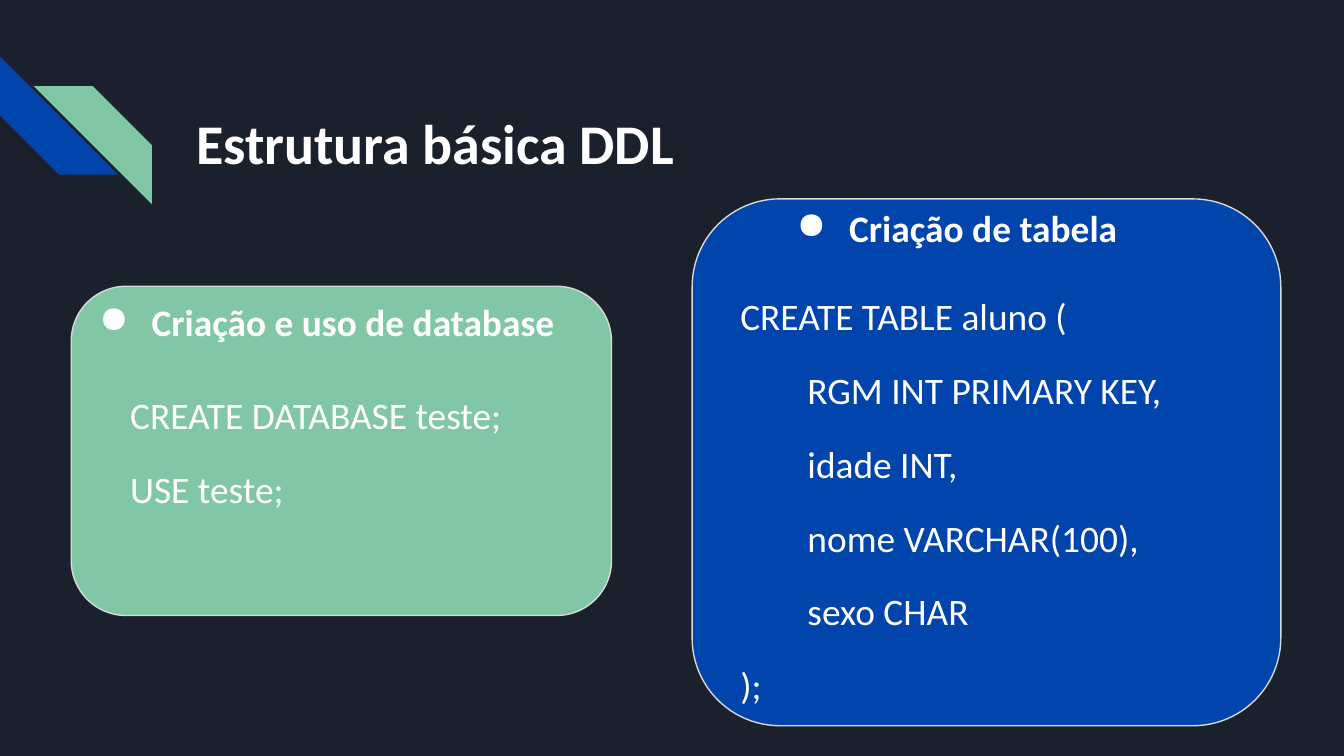
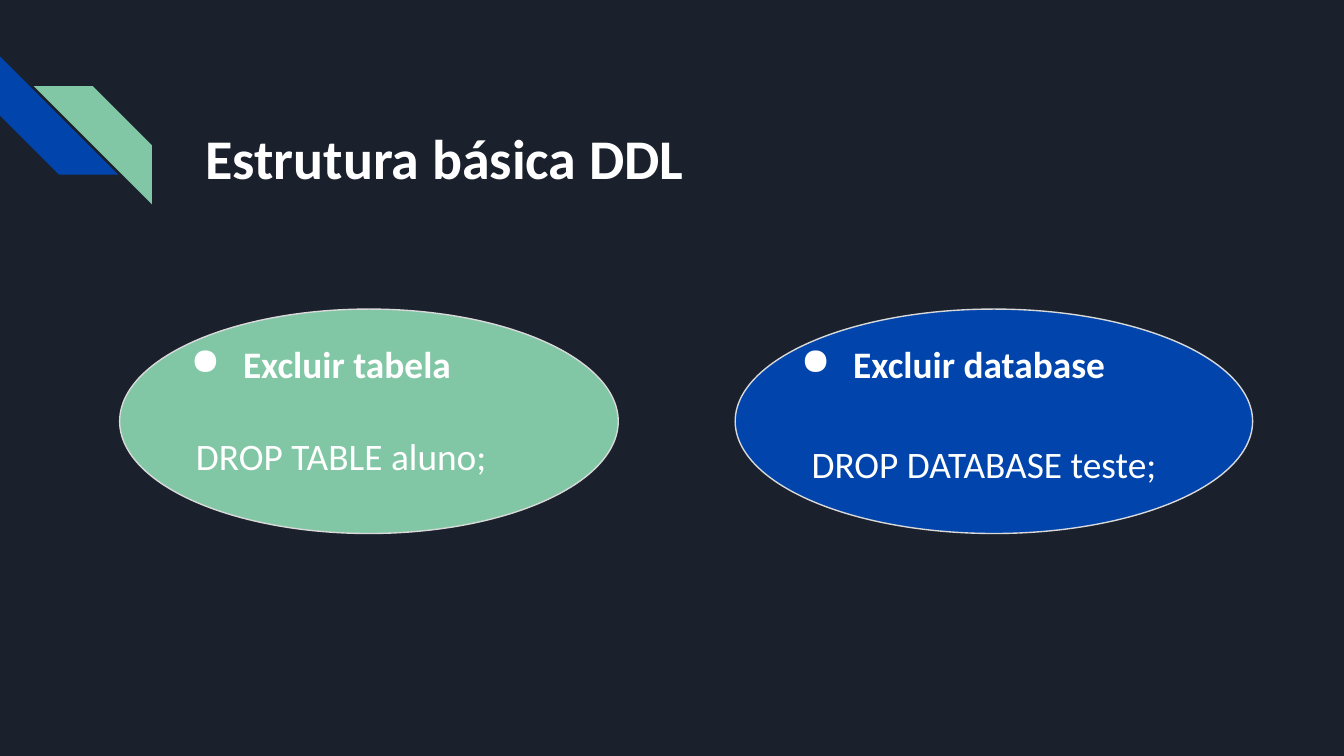
from pptx import Presentation
from pptx.dml.color import RGBColor as Rgb
from pptx.enum.shapes import MSO_SHAPE as Shape
from pptx.enum.text import MSO_ANCHOR as Anchor, MSO_AUTO_SIZE as Fit, PP_ALIGN as Align
from pptx.oxml.ns import qn
from pptx.util import Inches, Pt
from lxml.etree import SubElement

COLORS = {"night": "1B212C", "blue": "0145AC", "green": "82C7A5",
          "edge": "D9D9D9", "white": "FFFFFF"}
FONT = "Calibri"
COLUMNS = 100  # square grid cells, a hundred across the slide
TITLE = "Estrutura básica DDL"


def color(name):
    return Rgb.from_string(COLORS[name])


def write(paragraph, text, size=20, bold=False, spacing=None, before=0, after=0,
          margin=0, hanging=0, bullet=None):
    """Fill one paragraph with formatted text."""
    paragraph.alignment = Align.LEFT
    paragraph.line_spacing = spacing
    paragraph.space_before, paragraph.space_after = Pt(before), Pt(after)
    run = paragraph.add_run()
    run.text = text
    run.font.name, run.font.size, run.font.bold = FONT, Pt(size), bold
    run.font.color.rgb = color("white")
    props = paragraph._p.get_or_add_pPr()
    props.set("marL", str(Inches(margin)))
    props.set("indent", str(Inches(hanging)))
    if bullet:
        tint = SubElement(props, qn("a:buClr"))
        SubElement(tint, qn("a:srgbClr"), val=COLORS["white"])
        SubElement(props, qn("a:buChar"), char=bullet)


class Deck:
    def __init__(self):
        self.prs = Presentation()
        self.prs.slide_width, self.prs.slide_height = Inches(10), Inches(45 / 8)
        self.cell = self.prs.slide_width / COLUMNS
        backdrop = self.prs.slide_master.background.fill
        backdrop.solid()
        backdrop.fore_color.rgb = color("night")
        self.slide = None

    def grid(self, *cells):
        return [round(count * self.cell) for count in cells]

    def start(self, title, *place):
        """Open a slide with the corner stripes and its title."""
        self.slide = self.prs.slides.add_slide(self.prs.slide_layouts[5])
        self.panel(Shape.DIAGONAL_STRIPE, "blue", 0, 4.2, 8.8, 8.8, edge=None).rotation = 270
        mirrored = self.panel(Shape.DIAGONAL_STRIPE, "green", 2.5, 6.4, 8.8, 8.8, edge=None)
        mirrored._element.spPr.find(qn("a:xfrm")).set("flipH", "1")
        heading = self.slide.shapes.title
        heading.left, heading.top, heading.width, heading.height = self.grid(*place)
        write(self.frame(heading).paragraphs[0], title, size=30, bold=True)

    def panel(self, kind, fill, *place, edge="edge"):
        panel = self.slide.shapes.add_shape(kind, *self.grid(*place))
        panel.shadow.inherit = False
        panel.fill.solid()
        panel.fill.fore_color.rgb = color(fill)
        if edge:
            panel.line.color.rgb = color(edge)
            panel.line.width = Pt(0.75)
        else:
            panel.line.fill.background()
        return panel

    def frame(self, holder):
        frame = holder.text_frame
        frame.word_wrap, frame.auto_size = True, Fit.NONE
        frame.vertical_anchor = Anchor.TOP
        frame.margin_left = frame.margin_right = Inches(0.1)
        frame.margin_top = frame.margin_bottom = Inches(0.1)
        return frame

    def text_box(self, *place):
        return self.frame(self.slide.shapes.add_textbox(*self.grid(*place)))

    def topic(self, text, left, top, width):
        write(self.text_box(left, top, width, 5.4).paragraphs[0], text,
              bold=True, margin=0.5, hanging=-0.39, bullet="●")

    def code(self, lines, *place, after=0):
        """Write SQL lines; a leading tab stands for an indented one."""
        frame = self.text_box(*place)
        for number, line in enumerate(lines):
            paragraph = frame.add_paragraph() if number else frame.paragraphs[0]
            write(paragraph, line.strip(), spacing=1.15, before=12 if number else 0,
                  after=after if line == lines[-1] else 0,
                  hanging=0.5 if line.startswith("\t") else 0)


def main():
    deck = Deck()

    # Creating a database and a table
    deck.start(TITLE, 13.6, 7.1, 41.2, 7.2)
    deck.panel(Shape.ROUNDED_RECTANGLE, "blue", 51.5, 14.8, 43.8, 39.2)
    deck.panel(Shape.ROUNDED_RECTANGLE, "green", 5.3, 21.3, 40.2, 24.5)
    deck.code(["CREATE DATABASE teste;", "USE teste;"], 8.7, 27.7, 30.4, 15.5)
    deck.code(["CREATE TABLE aluno (", "\tRGM INT PRIMARY KEY,", "\tidade INT,",
               "\tnome VARCHAR(100),", "\tsexo CHAR", ");"],
              54.1, 20.3, 44.3, 33.2, after=12)
    deck.topic("Criação e uso de database", 5.3, 21.3, 37.3)
    deck.topic("Criação de tabela", 57.2, 14.3, 30.4)

    # Dropping a table and a database
    deck.start(TITLE, 14.3, 8.2, 42.2, 7.9)
    deck.panel(Shape.OVAL, "blue", 54.7, 23, 38.5, 16.7)
    deck.panel(Shape.OVAL, "green", 8.9, 23, 37.1, 16.7)
    deck.code(["DROP TABLE aluno;"], 13.6, 30.7, 27.7, 6.6, after=12)
    deck.code(["DROP DATABASE teste;"], 59.4, 31.3, 31.6, 5.4, after=12)
    deck.topic("Excluir tabela", 12.1, 24.4, 32.8)
    deck.topic("Excluir database", 57.5, 24.4, 32.8)

    deck.prs.save("out.pptx")


if __name__ == "__main__":
    main()
